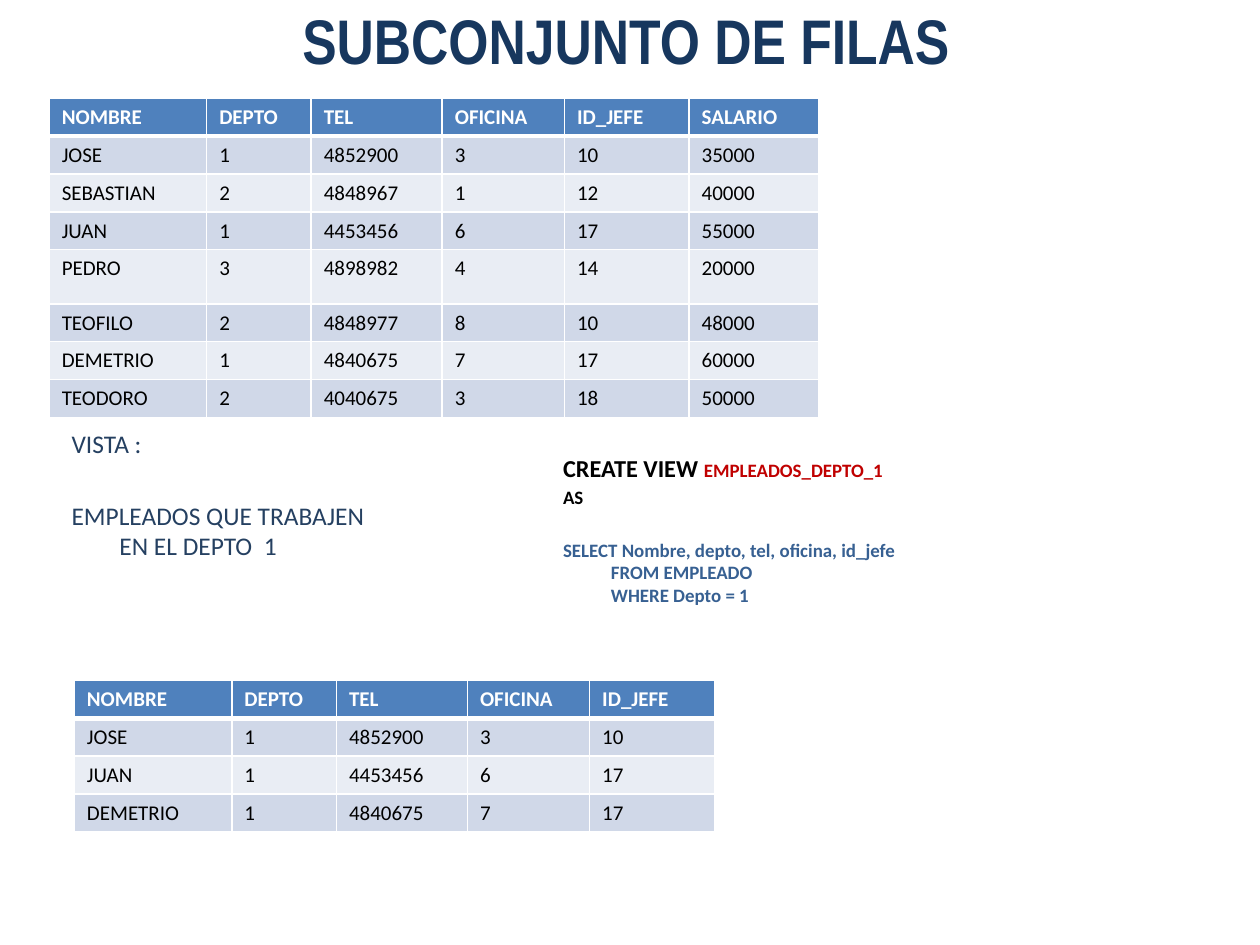
from lxml import etree
from pptx import Presentation
from pptx import util as u
from pptx.dml.color import RGBColor
from pptx.enum import text
from pptx.oxml import ns

COLUMN_WIDTHS = [1.25, 0.83, 1.04, 0.97, 0.99, 1.03]
ROW_HEIGHT = 0.3
HEADER = ["NOMBRE", "DEPTO", "TEL", "OFICINA", "ID_JEFE", "SALARIO"]
EMPLOYEES = [
    ["JOSE", "1", "4852900", "3", "10", "35000"],
    ["SEBASTIAN", "2", "4848967", "1", "12", "40000"],
    ["JUAN", "1", "4453456", "6", "17", "55000"],
    ["PEDRO", "3", "4898982", "4", "14", "20000"],
    ["TEOFILO", "2", "4848977", "8", "10", "48000"],
    ["DEMETRIO", "1", "4840675", "7", "17", "60000"],
    ["TEODORO", "2", "4040675", "3", "18", "50000"],
]


def rgb(color):
    return RGBColor.from_string(color)


def format_run(run, size, color, bold=False, font="Calibri"):
    run.font.name = font
    run.font.size = u.Pt(size)
    run.font.bold = bold
    run.font.color.rgb = rgb(color)


def add_text_box(slide, left, top, width, height):
    box = slide.shapes.add_textbox(*map(u.Inches, (left, top, width, height)))
    box.text_frame.word_wrap = True
    return box.text_frame


def add_title(slide, title):
    frame = add_text_box(slide, 0.47, -0.04, 9, 0.71)
    frame.vertical_anchor = text.MSO_ANCHOR.MIDDLE
    frame.text = title
    paragraph = frame.paragraphs[0]
    paragraph.alignment = text.PP_ALIGN.CENTER
    format_run(paragraph.runs[0], 36, "17375E", True, "Arial Narrow")


def add_hanging_text(slide, position, lines, bold=False):
    """Add lines of (space before, line spacing, runs of (words, size, color))."""
    frame = add_text_box(slide, *position)
    for index, (space, spacing, runs) in enumerate(lines):
        paragraph = frame.add_paragraph() if index else frame.paragraphs[0]
        properties = paragraph._p.get_or_add_pPr()
        properties.set("marL", str(u.Inches(0.38)))
        properties.set("indent", str(u.Inches(-0.38)))
        paragraph.space_before = u.Pt(space)
        paragraph.line_spacing = spacing
        for words, size, color in runs:
            run = paragraph.add_run()
            run.text = words
            format_run(run, size, color, bold)


def set_borders(cell, top, bottom):
    properties = cell._tc.get_or_add_tcPr()
    for side, width in (("L", 1), ("R", 1), ("T", top), ("B", bottom)):
        line = etree.SubElement(properties, ns.qn(f"a:ln{side}"), w=str(u.Pt(width)))
        fill = etree.SubElement(line, ns.qn("a:solidFill"))
        etree.SubElement(fill, ns.qn("a:srgbClr"), val="FFFFFF")


def add_data_table(slide, left, top, rows, row_heights):
    widths = COLUMN_WIDTHS[:len(rows[0])]
    table = slide.shapes.add_table(
        len(rows), len(widths), u.Inches(left), u.Inches(top),
        u.Inches(sum(widths)), u.Inches(sum(row_heights))).table
    for column, width in zip(table.columns, widths):
        column.width = u.Inches(width)
    for index, (row, height, values) in enumerate(zip(table.rows, row_heights, rows)):
        row.height = u.Inches(height)
        header = index == 0
        fill = "4F81BD" if header else ("E9EDF4", "D0D8E8")[index % 2]
        for cell, value in zip(row.cells, values):
            set_borders(cell, 3 if index == 1 else 1, 3 if header else 1)
            cell.fill.solid()
            cell.fill.fore_color.rgb = rgb(fill)
            cell.text = value
            format_run(cell.text_frame.paragraphs[0].runs[0], 12,
                       "FFFFFF" if header else "000000", header)


def main():
    presentation = Presentation()
    presentation.slide_width = u.Inches(10)
    presentation.slide_height = u.Inches(7.5)
    slide = presentation.slides.add_slide(presentation.slide_layouts[6])

    add_title(slide, "SUBCONJUNTO DE FILAS")

    heights = [ROW_HEIGHT] * (len(EMPLOYEES) + 1)
    heights[4] = 0.43
    add_data_table(slide, 0.39, 0.78, [HEADER] + EMPLOYEES, heights)

    add_hanging_text(slide, (0.47, 3.35, 2.67, 1.27), [
        (0, 1.0, [("VISTA :", 14.5, "254061")]),
        (23.5, 1.0, [("EMPLEADOS QUE TRABAJEN EN EL DEPTO  1", 14.5, "254061")]),
    ])
    add_hanging_text(slide, (4.37, 3.59, 3.62, 1.27), [
        (0, 0.8, [("CREATE VIEW ", 13.9, "000000"),
                  ("EMPLEADOS_DEPTO_1", 10.8, "C00000")]),
        (2.2, 1.0, [("AS", 10.8, "000000")]),
        (17.5, 1.0, [("SELECT Nombre, depto, tel, oficina, id_jefe", 10.8, "376092")]),
        (2.2, 0.8, [("\tFROM EMPLEADO", 10.8, "376092")]),
        (2.2, 0.8, [("\tWHERE Depto = 1", 10.8, "376092")]),
    ], bold=True)

    department_1 = [row[:5] for row in EMPLOYEES if row[1] == "1"]
    view = [HEADER[:5]] + department_1
    add_data_table(slide, 0.59, 5.4, view, [ROW_HEIGHT] * len(view))

    presentation.save("out.pptx")


if __name__ == "__main__":
    main()
